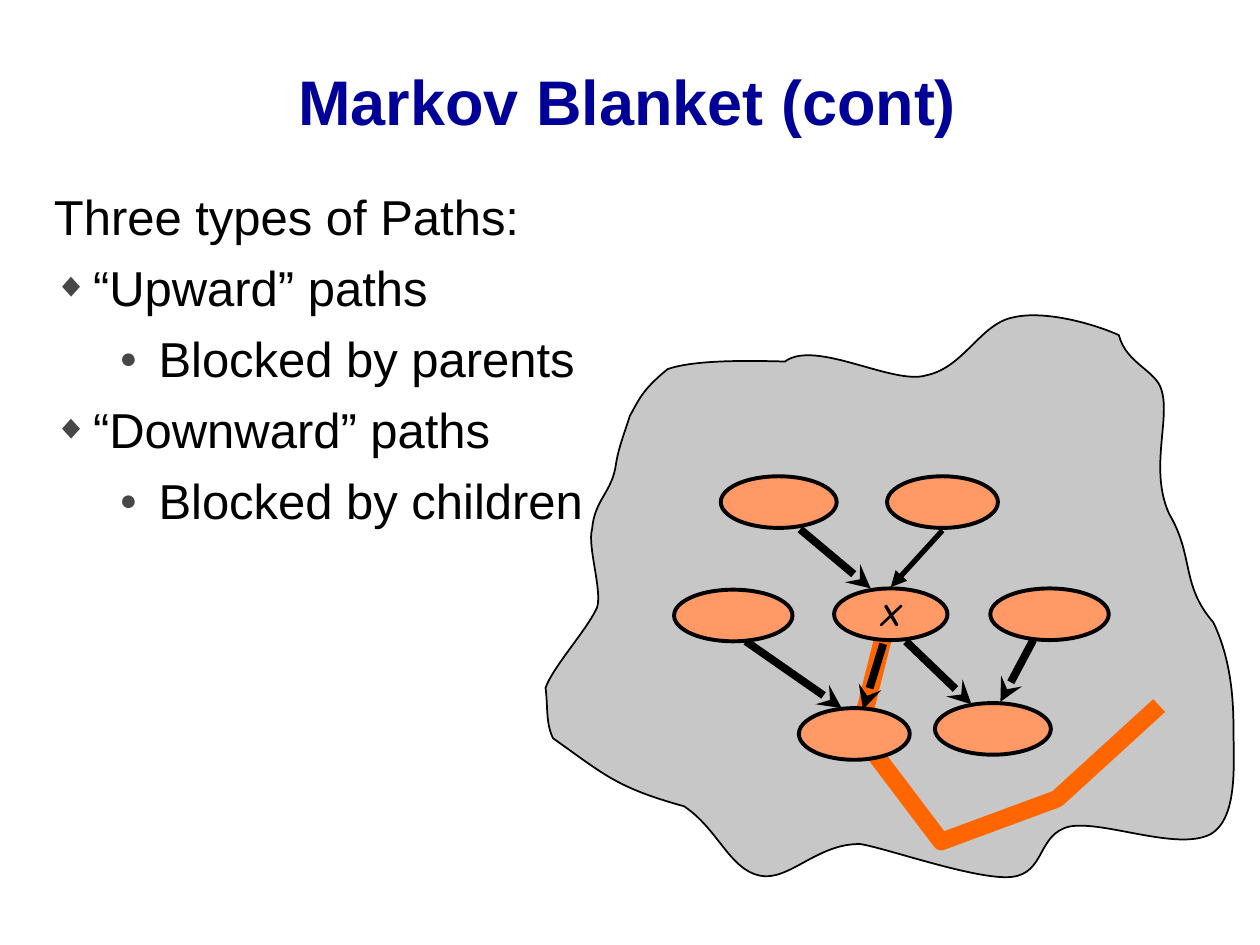
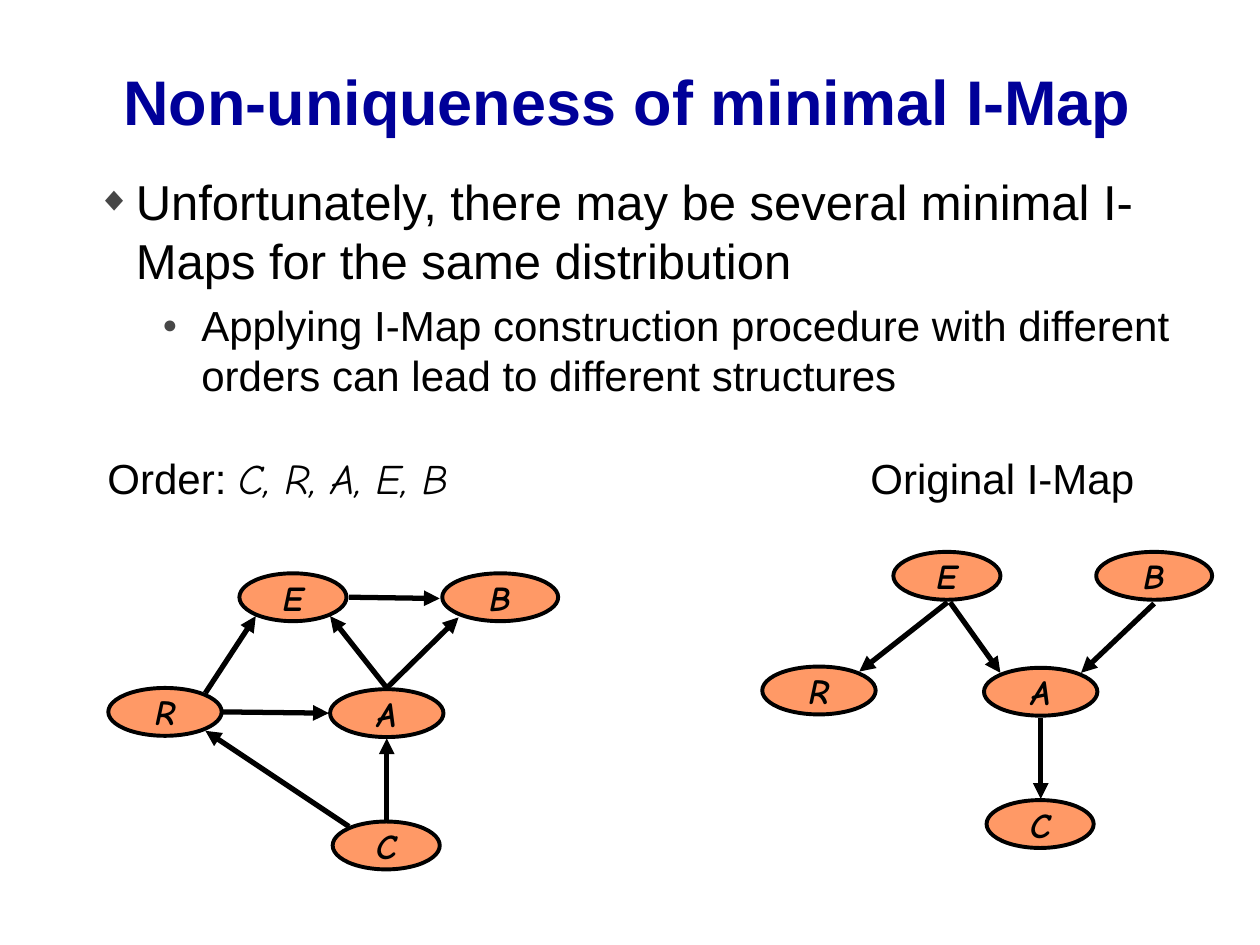
"""Build two slides on Markov blankets and minimal I-Maps."""
import lxml.etree
import pptx
import pptx.dml.color
import pptx.enum.shapes
import pptx.enum.text
import pptx.oxml.ns
import pptx.util

PX = 9144
COLORS = {
    "title": "000099",
    "text": "000000",
    "bullet": "474747",
    "node": "FF9966",
    "outline": "000000",
    "blanket": "919191",
    "route": "FF6600",
}
TEXT_FONT = "Arial"
NODE_FONT = "Comic Neue"
BULLETS = {0: ("◆", 31, 70), 1: ("●", 83, 60)}
HANGING = 31

BLANKET_START = (543, 640)
BLANKET_CURVES = [
    ((489, 625), (480, 615), (439, 586)),
    ((433, 574), (435, 560), (433, 546)),
    ((439, 529), (466, 500), (474, 482)),
    ((478, 468), (466, 433), (470, 420)),
    ((472, 396), (486, 391), (489, 368)),
    ((491, 355), (496, 343), (500, 330)),
    ((507, 318), (509, 310), (530, 293)),
    ((550, 286), (589, 286), (623, 287)),
    ((647, 269), (709, 306), (735, 298)),
    ((765, 292), (778, 257), (804, 252)),
    ((829, 246), (868, 257), (888, 266)),
    ((894, 289), (918, 294), (922, 310)),
    ((929, 333), (912, 373), (928, 408)),
    ((948, 442), (937, 464), (963, 494)),
    ((976, 521), (979, 551), (979, 577)),
    ((979, 605), (983, 649), (961, 662)),
    ((935, 676), (876, 651), (849, 656)),
    ((823, 662), (830, 693), (803, 696)),
    ((776, 699), (703, 673), (683, 670)),
    ((649, 669), (626, 700), (603, 695)),
    ((579, 690), (570, 658), (543, 640)),
]
ROUTE = [(702, 502), (682, 582), (747, 668), (839, 634), (920, 560)]

BLANKET_NODES = [
    (572, 378, 92, ""), (704, 378, 88, ""),
    (535, 468, 94, ""), (662, 467, 90, "X"), (786, 467, 94, ""),
    (634, 562, 88, ""), (742, 558, 92, ""),
]
BLANKET_ARROWS = [
    ((820, 508), (794, 557)), ((592, 509), (668, 562)), ((701, 511), (685, 563)),
    ((635, 420), (691, 467)), ((719, 509), (771, 559)),
]

GRAPH_NODES = [
    (104, 0, 85, "E"), (265, 0, 92, "B"), (0, 91, 90, "R"),
    (176, 92, 90, "A"), (178, 197, 85, "C"),
]
ORDERED_ARROWS = [
    ((277, 656), (163, 580)), ((307, 651), (307, 586)), ((177, 565), (261, 566)),
    ((307, 546), (364, 490)), ((277, 474), (349, 475)), ((307, 546), (262, 489)),
    ((163, 550), (203, 489)),
]
ORIGINAL_ARROWS = [
    ((826, 570), (826, 634)), ((754, 478), (794, 534)),
    ((916, 479), (858, 534)), ((752, 478), (682, 533)),
]


def rgb(name):
    """Return the named colour."""
    return pptx.dml.color.RGBColor.from_string(COLORS[name])


def add_xml(parent, tag, **attributes):
    """Append a DrawingML element to a parent."""
    return lxml.etree.SubElement(parent, pptx.oxml.ns.qn(tag), attributes)


def style_run(run, size, color="text", font=TEXT_FONT, bold=False, italic=False):
    """Set the character format of a run."""
    run.font.name = font
    run.font.size = pptx.util.Pt(size)
    run.font.bold = bold
    run.font.italic = italic
    run.font.color.rgb = rgb(color)


def style_line(shape, color, width):
    """Set the line colour and width of a shape."""
    shape.line.color.rgb = rgb(color)
    shape.line.width = pptx.util.Pt(width)


def add_textbox(slide, left, top, width, height):
    """Add an empty text box and return its text frame."""
    box = slide.shapes.add_textbox(left * PX, top * PX, width * PX, height * PX)
    box.text_frame.word_wrap = True
    return box.text_frame


def center_text(text_frame):
    """Centre the text of a frame both ways."""
    text_frame.vertical_anchor = pptx.enum.text.MSO_ANCHOR.MIDDLE
    text_frame.paragraphs[0].alignment = pptx.enum.text.PP_ALIGN.CENTER


def add_title(slide, text):
    """Add the slide title."""
    text_frame = add_textbox(slide, 38, 17, 920, 125)
    text_frame.text = text
    center_text(text_frame)
    style_run(text_frame.paragraphs[0].runs[0], 36, "title", bold=True)


def add_bullet(paragraph, level):
    """Give a paragraph its hanging indent and, for a list level, its bullet."""
    symbol, margin, percent = BULLETS.get(level, ("", HANGING, 0))
    properties = paragraph._p.get_or_add_pPr()
    properties.set("marL", str(margin * PX))
    properties.set("indent", str(-HANGING * PX))
    if not symbol:
        add_xml(properties, "a:buNone")
        return
    paragraph.level = level
    color = add_xml(properties, "a:buClr")
    add_xml(color, "a:srgbClr", val=COLORS["bullet"])
    add_xml(properties, "a:buSzPct", val=str(percent * 1000))
    add_xml(properties, "a:buFont", typeface=TEXT_FONT)
    add_xml(properties, "a:buChar", char=symbol)


def add_body(slide, left, top, width, height, items):
    """Add the body list from (level, size, text) items."""
    text_frame = add_textbox(slide, left, top, width, height)
    for index, (level, size, text) in enumerate(items):
        paragraph = text_frame.add_paragraph() if index else text_frame.paragraphs[0]
        paragraph.text = text
        add_bullet(paragraph, level)
        if index:
            paragraph.space_before = pptx.util.Pt(size // 4)
        style_run(paragraph.runs[0], size)


def add_caption(slide, left, width, text, letters=""):
    """Add a graph caption, with optional node letters in italics."""
    text_frame = add_textbox(slide, left, 354, width, 50)
    text_frame.text = text
    center_text(text_frame)
    paragraph = text_frame.paragraphs[0]
    style_run(paragraph.runs[0], 24)
    if letters:
        run = paragraph.add_run()
        run.text = letters
        style_run(run, 24, font=NODE_FONT, italic=True)


def add_node(slide, left, top, width, height, label, size):
    """Add an oval graph node."""
    shape = slide.shapes.add_shape(
        pptx.enum.shapes.MSO_SHAPE.OVAL, left * PX, top * PX, width * PX, height * PX)
    shape.shadow.inherit = False
    shape.fill.solid()
    shape.fill.fore_color.rgb = rgb("node")
    style_line(shape, "outline", 2.25)
    if label:
        shape.text_frame.text = label
        shape.text_frame.word_wrap = False
        center_text(shape.text_frame)
        run = shape.text_frame.paragraphs[0].runs[0]
        style_run(run, size, font=NODE_FONT, bold=True, italic=True)


def add_arrow(slide, start, end, width=3, head="triangle"):
    """Add a straight arrow between two points."""
    connector = slide.shapes.add_connector(
        pptx.enum.shapes.MSO_CONNECTOR.STRAIGHT, *(value * PX for value in start + end))
    style_line(connector, "outline", width)
    add_xml(connector.line._get_or_add_ln(), "a:tailEnd", type=head)
    add_xml(connector._element.spPr, "a:effectLst")


def add_outline(slide, points, color, width, close=False):
    """Add an unfilled freeform through the points."""
    builder = slide.shapes.build_freeform(*points[0], scale=PX)
    builder.add_line_segments(points[1:], close=close)
    shape = builder.convert_to_shape()
    shape.shadow.inherit = False
    shape.fill.background()
    style_line(shape, color, width)
    return shape


def bend_segments(shape):
    """Turn each three line segments of a freeform into one cubic curve."""
    lines = list(shape._element.iter(pptx.oxml.ns.qn("a:lnTo")))
    for first, second, third in zip(lines[::3], lines[1::3], lines[2::3]):
        curve = lxml.etree.Element(pptx.oxml.ns.qn("a:cubicBezTo"))
        first.addprevious(curve)
        for line in (first, second, third):
            curve.append(line[0])
            line.getparent().remove(line)


def add_blanket(slide):
    """Add the translucent curved area behind the network."""
    points = [BLANKET_START] + [point for curve in BLANKET_CURVES for point in curve]
    shape = add_outline(slide, points, "outline", 1, close=True)
    bend_segments(shape)
    shape.fill.solid()
    shape.fill.fore_color.rgb = rgb("blanket")
    fill_color = shape._element.spPr.find(".//" + pptx.oxml.ns.qn("a:srgbClr"))
    add_xml(fill_color, "a:alpha", val="50000")


def add_graph(slide, left, top, arrows):
    """Add the five-node graph with its arrows."""
    for start, end in arrows:
        add_arrow(slide, start, end)
    for x, y, width, label in GRAPH_NODES:
        add_node(slide, left + x, top + y, width, 38, label, 20)


def build_blanket_slide(slide):
    """Fill the Markov blanket slide."""
    add_blanket(slide)
    add_outline(slide, ROUTE, "route", 10)
    add_title(slide, "Markov Blanket (cont)")
    add_body(slide, 33, 143, 945, 559, [
        (None, 28, "Three types of Paths:"),
        (0, 28, "“Upward” paths"),
        (1, 28, "Blocked by parents"),
        (0, 28, "“Downward” paths"),
        (1, 28, "Blocked by children"),
    ])
    for left, top, width, label in BLANKET_NODES:
        add_node(slide, left, top, width, 41, label, 18)
    for start, end in BLANKET_ARROWS:
        add_arrow(slide, start, end, 4.5, "stealth")
    add_arrow(slide, (748, 421), (707, 466))


def build_map_slide(slide):
    """Fill the minimal I-Map slide."""
    add_title(slide, "Non-uniqueness of minimal I-Map")
    add_body(slide, 67, 131, 892, 549, [
        (0, 28, "Unfortunately, there may be several minimal I-Maps "
                "for the same distribution"),
        (1, 24, "Applying I-Map construction procedure with different orders "
                "can lead to different structures"),
    ])
    add_caption(slide, 65, 311, "Order: ", "C, R, A, E, B")
    add_caption(slide, 671, 249, "Original I-Map")
    add_graph(slide, 86, 455, ORDERED_ARROWS)
    add_graph(slide, 605, 438, ORIGINAL_ARROWS)


def main():
    """Build and save the presentation."""
    presentation = pptx.Presentation()
    presentation.slide_width = 1000 * PX
    presentation.slide_height = 750 * PX
    for build in (build_blanket_slide, build_map_slide):
        build(presentation.slides.add_slide(presentation.slide_layouts[6]))
    presentation.save("out.pptx")


if __name__ == "__main__":
    main()
